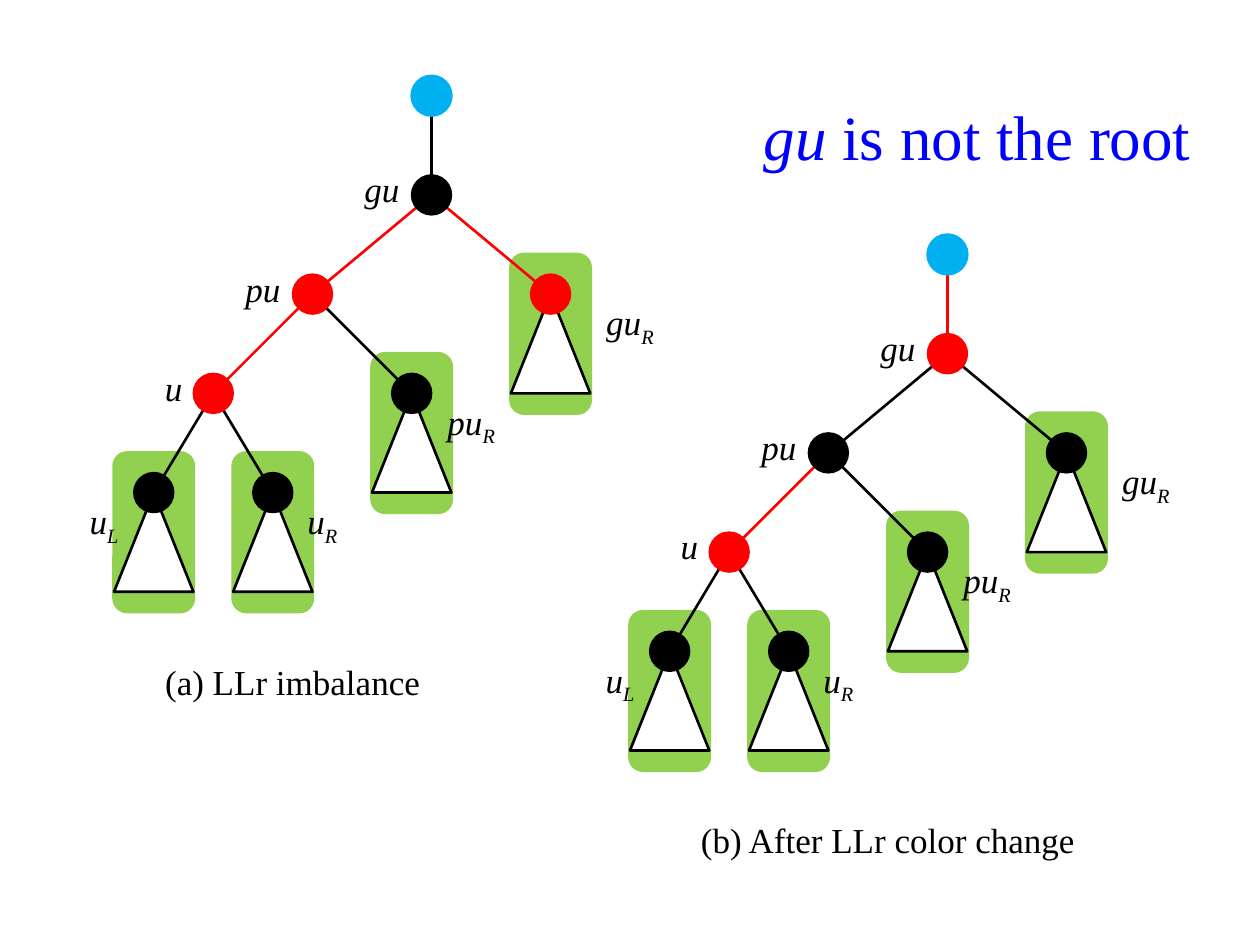
from dataclasses import dataclass

from lxml import etree
from pptx import Presentation
from pptx import util as u
from pptx.dml.color import RGBColor
from pptx.enum import shapes, text
from pptx.oxml.ns import qn

Cm, Pt = u.Cm, u.Pt
KIND = shapes.MSO_SHAPE


@dataclass(frozen=True)
class Theme:
    font: str = "Times New Roman"
    body: int = 20
    head: int = 36
    black: str = "000000"
    white: str = "FFFFFF"
    red: str = "FF0000"
    green: str = "92D050"
    sky: str = "00B0F0"
    blue: str = "0000FF"


@dataclass(frozen=True)
class Node:
    """Tree node, placed in cm from gu; side is the label's left edge from its centre."""
    name: str
    above: str
    x: float
    y: float
    side: float
    width: float
    sub: str = ""

    @property
    def key(self):
        return self.name + self.sub


THEME = Theme()
NODES = [
    Node("top", "", 0, -2, 0, 0),
    Node("gu", "top", 0, 0, -1.6, 1.2),
    Node("pu", "gu", -2.4, 2, -1.6, 1.2),
    Node("u", "pu", -4.4, 4, -1.2, 0.8),
    Node("u", "u", -5.6, 6, -1.6, 1.2, "L"),
    Node("u", "u", -3.2, 6, 0.4, 1.2, "R"),
    Node("pu", "pu", -0.4, 4, 0.4, 1.6, "R"),
    Node("gu", "gu", 2.4, 2, 0.8, 1.6, "R"),
]


def add_form(slide, kind, box, fill, line, weight):
    form = slide.shapes.add_shape(kind, *map(Cm, box))
    form.shadow.inherit = False
    form.fill.solid()
    form.fill.fore_color.rgb = RGBColor.from_string(fill)
    form.line.color.rgb = RGBColor.from_string(line)
    form.line.width = Pt(weight)


def add_edge(slide, start, end, tint):
    edge = slide.shapes.add_connector(
        shapes.MSO_CONNECTOR.STRAIGHT, *map(Cm, (*start, *end)))
    edge.line.color.rgb = RGBColor.from_string(tint)
    edge.line.width = Pt(1.5)
    etree.SubElement(edge._element.spPr, qn("a:effectLst"))


def add_text(slide, box, size, tint, wrap=True):
    """Add an empty centred text box and return its frame and paragraph."""
    frame = slide.shapes.add_textbox(*map(Cm, box)).text_frame
    frame.word_wrap = wrap
    frame.vertical_anchor = text.MSO_ANCHOR.MIDDLE
    para = frame.paragraphs[0]
    para.alignment = text.PP_ALIGN.CENTER
    para.font.name = THEME.font
    para.font.size = Pt(size)
    para.font.color.rgb = RGBColor.from_string(tint)
    return frame, para


def add_run(para, words):
    run = para.add_run()
    run.text = words
    return run


def add_label(slide, node, x, y):
    box = (x + node.side, y, node.width, 0.8)
    frame, para = add_text(slide, box, THEME.body, THEME.black, wrap=False)
    frame.vertical_anchor = text.MSO_ANCHOR.BOTTOM
    frame.margin_left = frame.margin_right = Cm(0.2)
    frame.margin_top, frame.margin_bottom = 0, Cm(0.1)
    para.font.italic = True
    add_run(para, node.name)
    if node.sub:
        low = add_run(para, node.sub)
        low._r.get_or_add_rPr().set("baseline", "-25000")


def add_tree(slide, left, top, reds):
    """Draw the tree with gu at (left, top); the edge above a node has its colour."""
    spots = {n.key: (left + n.x, top + n.y) for n in NODES}
    tints = {n.key: THEME.red if n.key in reds else THEME.black for n in NODES}
    tints["top"] = THEME.sky
    leaves = [spots[n.key] for n in NODES if n.sub]

    for x, y in leaves:
        add_form(slide, KIND.FLOWCHART_ALTERNATE_PROCESS,
                 (x - 0.8, y - 0.8, 1.6, 3.2), THEME.green, THEME.green, 2)
    for node in NODES:
        if node.above:
            add_edge(slide, spots[node.above], spots[node.key], tints[node.key])
    for x, y in leaves:
        add_form(slide, KIND.ISOSCELES_TRIANGLE,
                 (x - 0.8, y, 1.6, 2), THEME.white, THEME.black, 1.5)
    for node in NODES:
        x, y = spots[node.key]
        tint = tints[node.key]
        add_form(slide, KIND.OVAL, (x - 0.4, y - 0.4, 0.8, 0.8),
                 tint, tint, 1 if node.above else 1.5)
        if node.above:
            add_label(slide, node, x, y + 0.4 if node.sub else y - 0.4)


def add_note(slide, words, box):
    _, para = add_text(slide, box, THEME.body, THEME.black)
    add_run(para, words)


def add_title(slide):
    _, para = add_text(slide, (14.7, 1.53, 10, 2.4), THEME.head, THEME.blue)
    add_run(para, "gu").font.italic = True
    add_run(para, " is not the root")


def main():
    deck = Presentation()
    deck.slide_width, deck.slide_height = Cm(25.4), Cm(19.05)
    slide = deck.slides.add_slide(deck.slide_layouts[6])
    add_title(slide)
    add_tree(slide, 8.7, 3.93, {"pu", "u", "guR"})
    add_note(slide, "(a) LLr imbalance", (2.7, 13.13, 6.4, 1.2))
    add_tree(slide, 19.1, 7.13, {"gu", "u"})
    add_note(slide, "(b) After LLr color change", (13.5, 16.33, 8.8, 1.2))
    deck.save("out.pptx")


if __name__ == "__main__":
    main()
